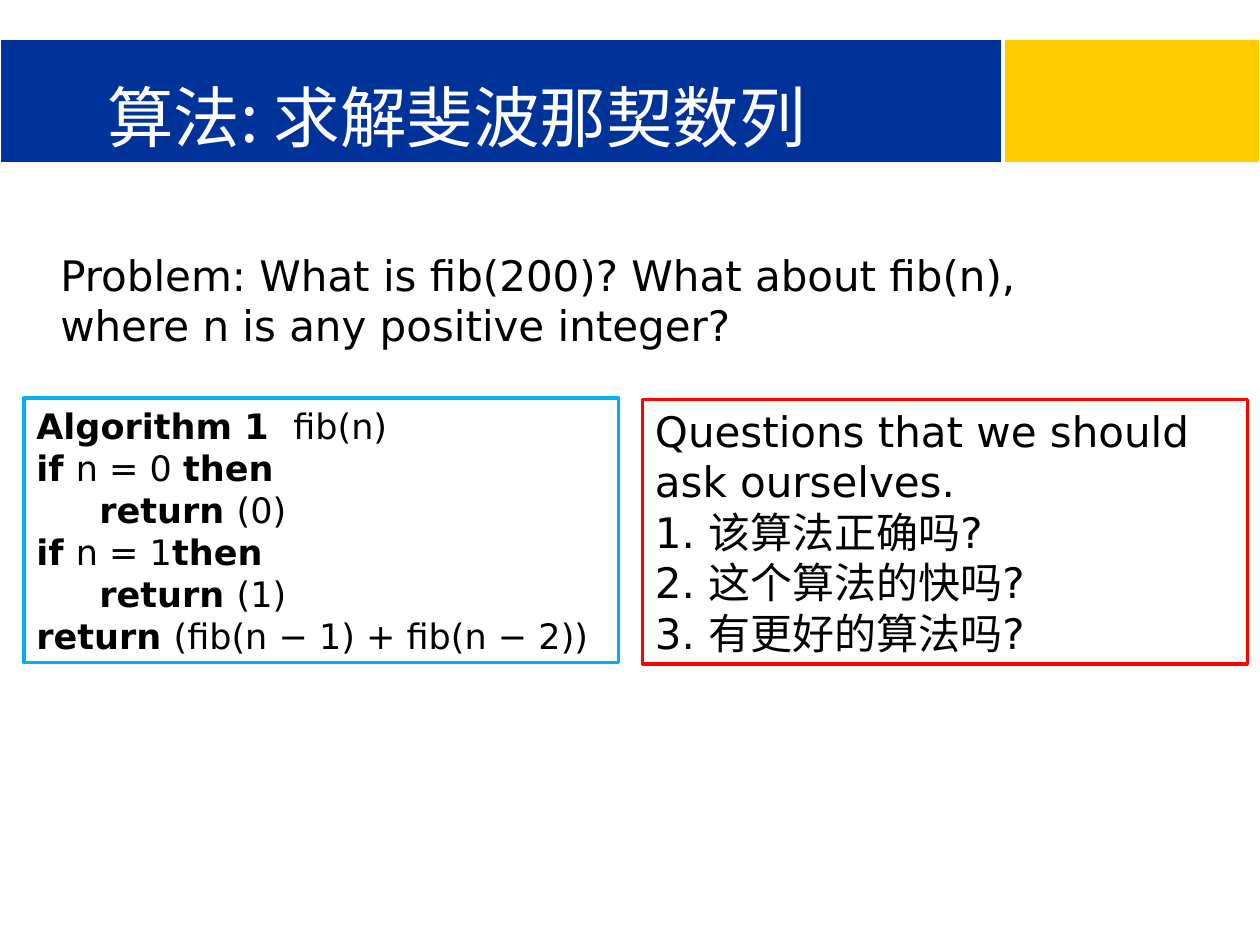
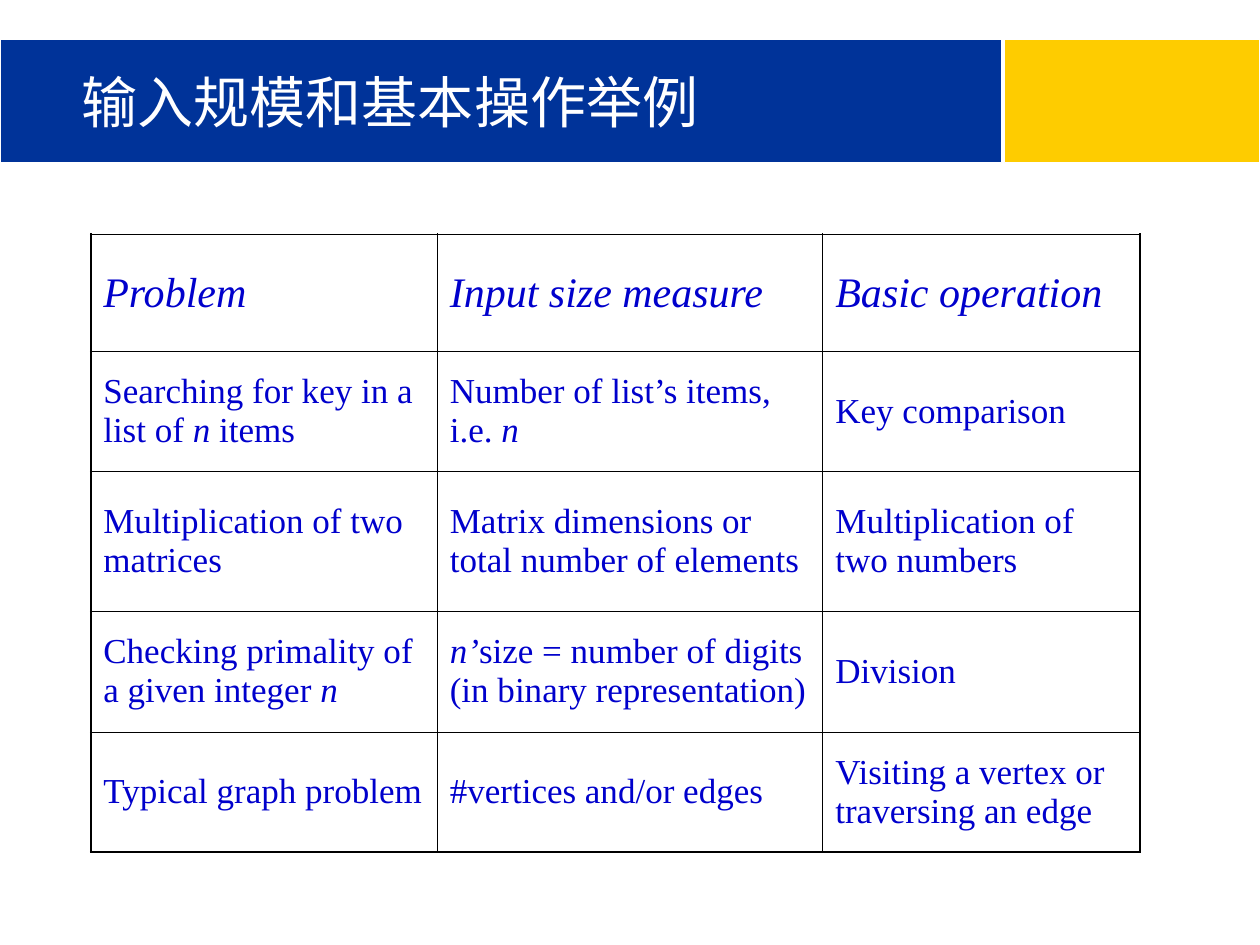
from lxml.etree import SubElement, fromstring
from pptx import Presentation
from pptx.dml.color import RGBColor
from pptx.enum.shapes import MSO_SHAPE
from pptx.enum.text import MSO_ANCHOR, MSO_AUTO_SIZE, PP_ALIGN
from pptx.oxml.ns import nsdecls, qn
from pptx.util import Inches, Pt

NAVY = RGBColor(0x00, 0x33, 0x99)
GOLD = RGBColor(0xFE, 0xCC, 0x00)
WHITE = RGBColor(0xFF, 0xFF, 0xFF)
BLACK = RGBColor(0x00, 0x00, 0x00)
CYAN = RGBColor(0x00, 0xB0, 0xF0)
RED = RGBColor(0xFF, 0x00, 0x00)
TABLE_BLUE = RGBColor(0x00, 0x00, 0xCC)
CJK, SANS, SERIF = "Noto Sans CJK SC", "DejaVu Sans", "Times New Roman"
THICK, THIN = Pt(1.08), Pt(0.45)

BANDS = [((7.97, 0.31, 2.03, 0.98), GOLD), ((0, 0.31, 7.95, 0.98), NAVY)]

FIB_TITLE = "算法: 求解斐波那契数列"
PROBLEM = ["Problem: What is fib(200)? What about fib(n), where n is any positive integer?"]
ALGORITHM = [
    "*Algorithm 1  *fib(n)",
    "*if *n = 0 *then*",
    "*\treturn *(0)",
    "*if *n = 1*then*",
    "*\treturn *(1)",
    "*return *(fib(n − 1) + fib(n − 2))",
]
QUESTIONS = [
    "Questions that we should ask ourselves.",
    "1. 该算法正确吗?",
    "2. 这个算法的快吗?",
    "3. 有更好的算法吗?",
]
BOXES = [
    ((0.19, 3.16, 4.72, 2.1), CYAN, ALGORITHM, 20),
    ((5.1, 3.17, 4.8, 2.1), RED, QUESTIONS, 24),
]

EXAMPLES_TITLE = "输入规模和基本操作举例"
COL_WIDTHS = [2.75, 3.06, 2.52]
ROW_HEIGHTS = [0.93, 0.95, 1.11, 0.96, 0.95]
EXAMPLES = [
    ("*Problem*", "*Input size measure*", "*Basic operation*"),
    ("Searching for key in a list of *n* items", "Number of list’s items, i.e. *n*", "Key comparison"),
    ("Multiplication of two matrices", "Matrix dimensions or total number of elements",
     "Multiplication of two numbers"),
    ("Checking primality of a given integer *n*",
     "*n’*size = number of digits (in binary representation)", "Division"),
    ("Typical graph problem", "#vertices and/or edges", "Visiting a vertex or traversing an edge"),
]


def put_text(tf, lines, size, font=SANS, color=BLACK, emphasis="bold"):
    tf.word_wrap = True
    for i, line in enumerate(lines):
        p = tf.paragraphs[0] if i == 0 else tf.add_paragraph()
        p.alignment = PP_ALIGN.LEFT
        for j, part in enumerate(line.split("*")):
            if not part:
                continue
            r = p.add_run()
            r.text = part
            r.font.size, r.font.name = Pt(size), font
            r.font.color.rgb = color
            setattr(r.font, emphasis, j % 2 == 1)
            ea = SubElement(r.font._element, qn("a:ea"))
            ea.set("typeface", CJK)


def add_rect(s, box, line, width, fill=None):
    sp = s.shapes.add_shape(MSO_SHAPE.RECTANGLE, *map(Inches, box))
    sp.shadow.inherit = False
    if fill is None:
        sp.fill.background()
    else:
        sp.fill.solid()
        sp.fill.fore_color.rgb = fill
    sp.line.color.rgb = line
    sp.line.width = Pt(width)
    return sp


def set_title(s, text, size, box, bottom):
    sp = s.shapes.title
    sp.left, sp.top, sp.width, sp.height = map(Inches, box)
    tf = sp.text_frame
    tf.auto_size = MSO_AUTO_SIZE.NONE
    tf.vertical_anchor = MSO_ANCHOR.BOTTOM
    tf.margin_bottom = Inches(bottom)
    put_text(tf, [text], size, font=CJK, color=WHITE)


def add_bands(s, layout):
    for ph in list(layout.placeholders)[1:]:
        ph.element.getparent().remove(ph.element)
    for i, (box, fill) in enumerate(BANDS):
        band = add_rect(s, box, WHITE, 0.75, fill)
        layout.shapes.element.insert(2 + i, band.element)


def set_borders(cell, widths):
    tc_pr = cell._tc.get_or_add_tcPr()
    for i, (side, width) in enumerate(zip("LRTB", widths)):
        tc_pr.insert(i, fromstring(
            f'<a:ln{side} {nsdecls("a")} w="{width}"><a:solidFill>'
            f'<a:srgbClr val="{BLACK}"/></a:solidFill></a:ln{side}>'))


def build_fibonacci(s):
    set_title(s, FIB_TITLE, 38, (0.75, -0.09, 8.42, 1.33), 0)
    tb = s.shapes.add_textbox(*map(Inches, (0.38, 1.93, 8.51, 0.9)))
    put_text(tb.text_frame, PROBLEM, 24)
    for box, line, lines, size in BOXES:
        tf = add_rect(s, box, line, 2).text_frame
        tf.vertical_anchor = MSO_ANCHOR.TOP
        put_text(tf, lines, size)


def build_examples(s):
    set_title(s, EXAMPLES_TITLE, 32, (0.55, 0.35, 9.45, 1.25), 0.53)
    rows, cols = len(EXAMPLES), len(COL_WIDTHS)
    table = s.shapes.add_table(rows, cols, Inches(0.72), Inches(1.86),
                               Inches(sum(COL_WIDTHS)), Inches(sum(ROW_HEIGHTS))).table
    table.first_row = table.horz_banding = False
    for col, width in zip(table.columns, COL_WIDTHS):
        col.width = Inches(width)
    for i, texts in enumerate(EXAMPLES):
        table.rows[i].height = Inches(ROW_HEIGHTS[i])
        for j, text in enumerate(texts):
            cell = table.cell(i, j)
            cell.fill.background()
            cell.vertical_anchor = MSO_ANCHOR.MIDDLE
            put_text(cell.text_frame, [text], 20 if i else 24, font=SERIF,
                     color=TABLE_BLUE, emphasis="italic")
            edges = (j == 0, j == cols - 1, i == 0, i == rows - 1)
            set_borders(cell, [THICK if outer else THIN for outer in edges])


def main():
    prs = Presentation()
    prs.slide_width, prs.slide_height = Inches(10), Inches(7.5)
    layout = prs.slide_layouts[5]
    for build in (build_fibonacci, build_examples):
        s = prs.slides.add_slide(layout)
        if build is build_fibonacci:
            add_bands(s, layout)
        build(s)
    prs.save("out.pptx")


if __name__ == "__main__":
    main()
